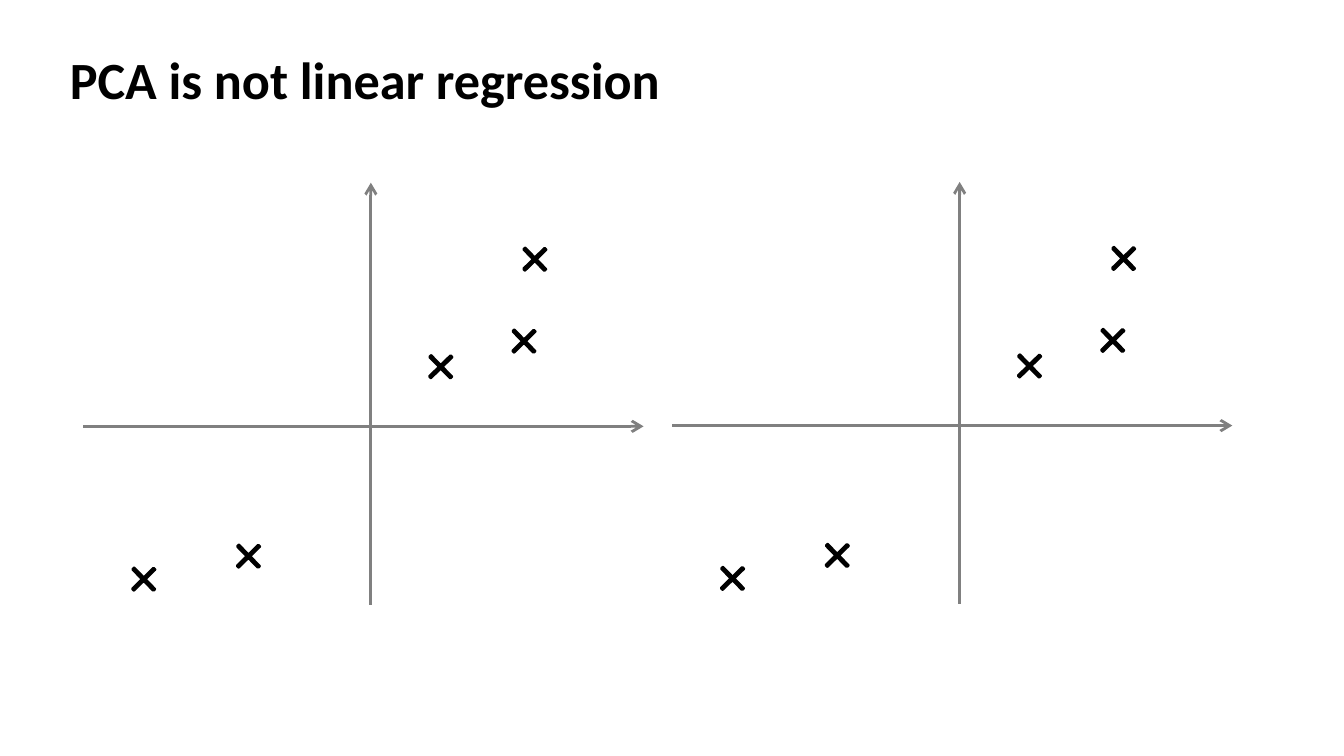
import pptx
import pptx.util
import pptx.dml.color
import pptx.enum.shapes
import pptx.enum.text
import pptx.oxml.ns
import lxml.etree

Pt = pptx.util.Pt
HUES = {"ink": "000000", "axis": "808080"}
MARKS = [(183.6, 90.7), (234, 33.1), (228.2, 77), (24.5, 204.5), (80.6, 192.2)]
SIDE = 15.84


def hue(name):
    """Return the named colour."""
    return pptx.dml.color.RGBColor.from_string(HUES[name])


def title(slide, left, top, width, height, words):
    """Fill the title placeholder and fit it to the given box."""
    box = slide.shapes.title
    box.left, box.top, box.width, box.height = map(Pt, (left, top, width, height))
    frame = box.text_frame
    frame.text = words
    frame.word_wrap = True
    frame.auto_size = pptx.enum.text.MSO_AUTO_SIZE.SHAPE_TO_FIT_TEXT
    frame.vertical_anchor = pptx.enum.text.MSO_ANCHOR.TOP
    line = frame.paragraphs[0]
    line.alignment = pptx.enum.text.PP_ALIGN.LEFT
    font = line.runs[0].font
    font.name, font.size, font.bold = "Calibri", Pt(28), True
    font.color.rgb = hue("ink")


def axis(slide, *ends):
    """Draw a grey arrow from the first point to the second."""
    kind = pptx.enum.shapes.MSO_CONNECTOR.STRAIGHT
    arrow = slide.shapes.add_connector(kind, *map(Pt, ends))
    arrow.line.color.rgb = hue("axis")
    arrow.line.width = Pt(1.5)
    tag = pptx.oxml.ns.qn
    lxml.etree.SubElement(arrow.line._get_or_add_ln(), tag("a:tailEnd"), type="arrow")
    lxml.etree.SubElement(arrow._element.spPr, tag("a:effectLst"))


def cross(slide, left, top):
    """Draw one data point as a turned plus sign."""
    kind = pptx.enum.shapes.MSO_SHAPE.CROSS
    mark = slide.shapes.add_shape(kind, Pt(left), Pt(top), Pt(SIDE), Pt(SIDE))
    mark.adjustments[0] = 0.466
    mark.rotation = 45.6
    mark.shadow.inherit = False
    mark.fill.solid()
    mark.fill.fore_color.rgb = hue("ink")
    mark.line.color.rgb = hue("ink")
    mark.line.width = Pt(1.5)


def plot(slide, left, top, width, height):
    """Draw both axes and the data points in the given box."""
    mid, base = left + 154.1, top + 130.5
    axis(slide, mid, top + height, mid, top)
    axis(slide, left, base, left + width, base)
    for x, y in MARKS:
        cross(slide, left + x, top + y)


def main():
    """Build and save the slide."""
    deck = pptx.Presentation()
    deck.slide_width, deck.slide_height = Pt(720), Pt(405)
    slide = deck.slides.add_slide(deck.slide_layouts[5])
    for left, top in ((44.6, 97.9), (360, 97.5)):
        plot(slide, left, top, 300.2, 226.1)
    title(slide, 30.2, 21.6, 653.8, 41, "PCA is not linear regression")
    deck.save("out.pptx")


if __name__ == "__main__":
    main()
